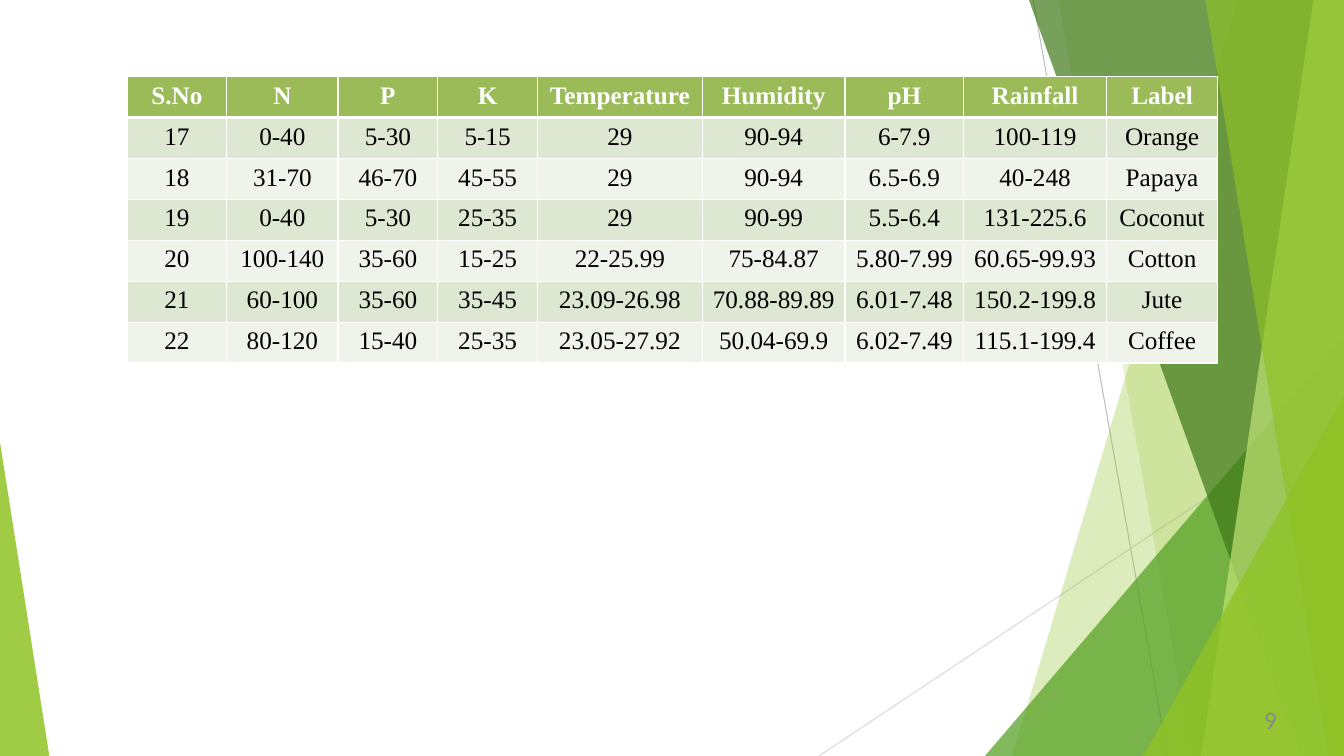
from dataclasses import dataclass

from lxml.etree import SubElement
from pptx import Presentation
from pptx.dml.color import RGBColor
from pptx.enum.shapes import MSO_CONNECTOR as Connector
from pptx.enum.text import MSO_ANCHOR as Anchor, PP_ALIGN as Align
from pptx.oxml import parse_xml
from pptx.oxml.ns import nsdecls, qn
from pptx.slide import Slide
from pptx.table import _Cell as Cell
from pptx.text.text import _Paragraph as Paragraph
from pptx.util import Emu, Pt

EMU_PER_PX = 9525
WIDTH, HEIGHT = 1280, 720


@dataclass(frozen=True)
class Theme:
    leaf: str = "90C225"
    grass: str = "539F20"
    forest: str = "3E7818"
    lime: str = "C0E374"
    header: str = "9BBB59"
    odd_row: str = "DEE7D1"
    even_row: str = "EFF3EA"
    white: str = "FFFFFF"
    black: str = "000000"
    page_number: str = "898989"
    table_font: str = "Times New Roman"
    page_font: str = "Calibri"
    text_size: int = 18
    border: float = 1
    header_border: float = 3
    ray_width: float = 0.75


THEME = Theme()


@dataclass(frozen=True)
class Ray:
    start: tuple[int, int]
    end: tuple[int, int]
    color: str


@dataclass(frozen=True)
class Facet:
    points: tuple[tuple[int, int], ...]
    color: str
    opacity: int


TOP_RIGHT, BOTTOM_RIGHT = (WIDTH, 0), (WIDTH, HEIGHT)


def band(top: int, bottom: int, color: str, opacity: int) -> Facet:
    return Facet((TOP_RIGHT, (top, 0), (bottom, HEIGHT), BOTTOM_RIGHT), color, opacity)


def corner(top: int, left: int, color: str, opacity: int) -> Facet:
    return Facet(((WIDTH, top), (left, HEIGHT), BOTTOM_RIGHT), color, opacity)


RAYS = (
    Ray((984, 0), (1112, HEIGHT), "BEBEBE"),
    Ray((WIDTH, 387), (780, HEIGHT), "D9D9D9"),
)
FACETS = (
    band(1179, 964, THEME.leaf, 30),
    band(1008, 1135, THEME.leaf, 20),
    corner(320, 938, THEME.grass, 72),
    band(980, 1239, THEME.forest, 70),
    band(1251, 1144, THEME.lime, 70),
    band(1148, 1265, THEME.leaf, 65),
    corner(377, 1089, THEME.leaf, 80),
    Facet(((0, 421), (0, HEIGHT), (47, HEIGHT)), THEME.leaf, 85),
)

TABLE_LEFT, TABLE_TOP, ROW_HEIGHT = 121, 73, 39
CELL_MARGIN = 4
COLUMN_WIDTHS = (95, 106, 95, 95, 157, 136, 113, 136, 106)
CROPS = (
    ("S.No", "N", "P", "K", "Temperature", "Humidity", "pH", "Rainfall", "Label"),
    ("17", "0-40", "5-30", "5-15", "29", "90-94", "6-7.9", "100-119", "Orange"),
    ("18", "31-70", "46-70", "45-55", "29", "90-94", "6.5-6.9", "40-248", "Papaya"),
    ("19", "0-40", "5-30", "25-35", "29", "90-99", "5.5-6.4", "131-225.6", "Coconut"),
    ("20", "100-140", "35-60", "15-25", "22-25.99", "75-84.87", "5.80-7.99", "60.65-99.93", "Cotton"),
    ("21", "60-100", "35-60", "35-45", "23.09-26.98", "70.88-89.89", "6.01-7.48", "150.2-199.8", "Jute"),
    ("22", "80-120", "15-40", "25-35", "23.05-27.92", "50.04-69.9", "6.02-7.49", "115.1-199.4", "Coffee"),
)


def px(length: int) -> Emu:
    return Emu(length * EMU_PER_PX)


def rgb(color: str) -> RGBColor:
    return RGBColor.from_string(color)


def draw_ray(slide: Slide, ray: Ray) -> None:
    line = slide.shapes.add_connector(
        Connector.STRAIGHT, *map(px, ray.start), *map(px, ray.end)
    )
    line.line.color.rgb = rgb(ray.color)
    line.line.width = Pt(THEME.ray_width)
    SubElement(line._element.spPr, qn("a:effectLst"))


def draw_facet(slide: Slide, facet: Facet) -> None:
    start, *others = facet.points
    outline = slide.shapes.build_freeform(*start, scale=EMU_PER_PX)
    outline.add_line_segments(others, close=True)
    shape = outline.convert_to_shape()
    shape.shadow.inherit = False
    shape.line.fill.background()
    shape.fill.solid()
    shape.fill.fore_color.rgb = rgb(facet.color)
    tint = shape._element.spPr.find(qn("a:solidFill"))[0]
    SubElement(tint, qn("a:alpha"), val=str(facet.opacity * 1000))


def style_text(paragraph: Paragraph, font: str, color: str, align: Align, bold: bool = False) -> None:
    paragraph.alignment = align
    for run in paragraph.runs:
        run.font.name = font
        run.font.size = Pt(THEME.text_size)
        run.font.bold = bold
        run.font.color.rgb = rgb(color)


def set_borders(cell: Cell, top: float, bottom: float) -> None:
    properties = cell._tc.get_or_add_tcPr()
    edges = {"lnL": THEME.border, "lnR": THEME.border, "lnT": top, "lnB": bottom}
    for position, (edge, width) in enumerate(edges.items()):
        properties.insert(position, parse_xml(
            f'<a:{edge} {nsdecls("a")} w="{Pt(width)}"><a:solidFill>'
            f'<a:srgbClr val="{THEME.white}"/></a:solidFill></a:{edge}>'
        ))


def fill_cell(cell: Cell, text: str, row: int) -> None:
    is_header = row == 0
    cell.margin_left = cell.margin_right = px(CELL_MARGIN)
    cell.text_frame.text = text
    style_text(
        cell.text_frame.paragraphs[0], THEME.table_font,
        THEME.white if is_header else THEME.black, Align.CENTER, is_header,
    )
    cell.fill.solid()
    banding = THEME.odd_row if row % 2 else THEME.even_row
    cell.fill.fore_color.rgb = rgb(THEME.header if is_header else banding)
    set_borders(
        cell,
        top=THEME.header_border if row == 1 else THEME.border,
        bottom=THEME.header_border if is_header else THEME.border,
    )


def draw_crops(slide: Slide) -> None:
    crops = slide.shapes.add_table(
        len(CROPS), len(COLUMN_WIDTHS), px(TABLE_LEFT), px(TABLE_TOP),
        px(sum(COLUMN_WIDTHS)), px(ROW_HEIGHT * len(CROPS)),
    ).table
    for column, width in zip(crops.columns, COLUMN_WIDTHS):
        column.width = px(width)
    for row, values in enumerate(CROPS):
        for column, text in enumerate(values):
            fill_cell(crops.cell(row, column), text, row)


def draw_page_number(slide: Slide) -> None:
    frame = slide.shapes.add_textbox(px(1152), px(670), px(64), px(30)).text_frame
    frame.word_wrap = True
    frame.margin_left = frame.margin_right = frame.margin_top = frame.margin_bottom = 0
    frame.vertical_anchor = Anchor.MIDDLE
    frame.text = "9"
    style_text(frame.paragraphs[0], THEME.page_font, THEME.page_number, Align.RIGHT)


def main() -> None:
    deck = Presentation()
    deck.slide_width, deck.slide_height = px(WIDTH), px(HEIGHT)
    slide = deck.slides.add_slide(deck.slide_layouts[6])
    for ray in RAYS:
        draw_ray(slide, ray)
    for facet in FACETS:
        draw_facet(slide, facet)
    draw_crops(slide)
    draw_page_number(slide)
    deck.save("out.pptx")


if __name__ == "__main__":
    main()
